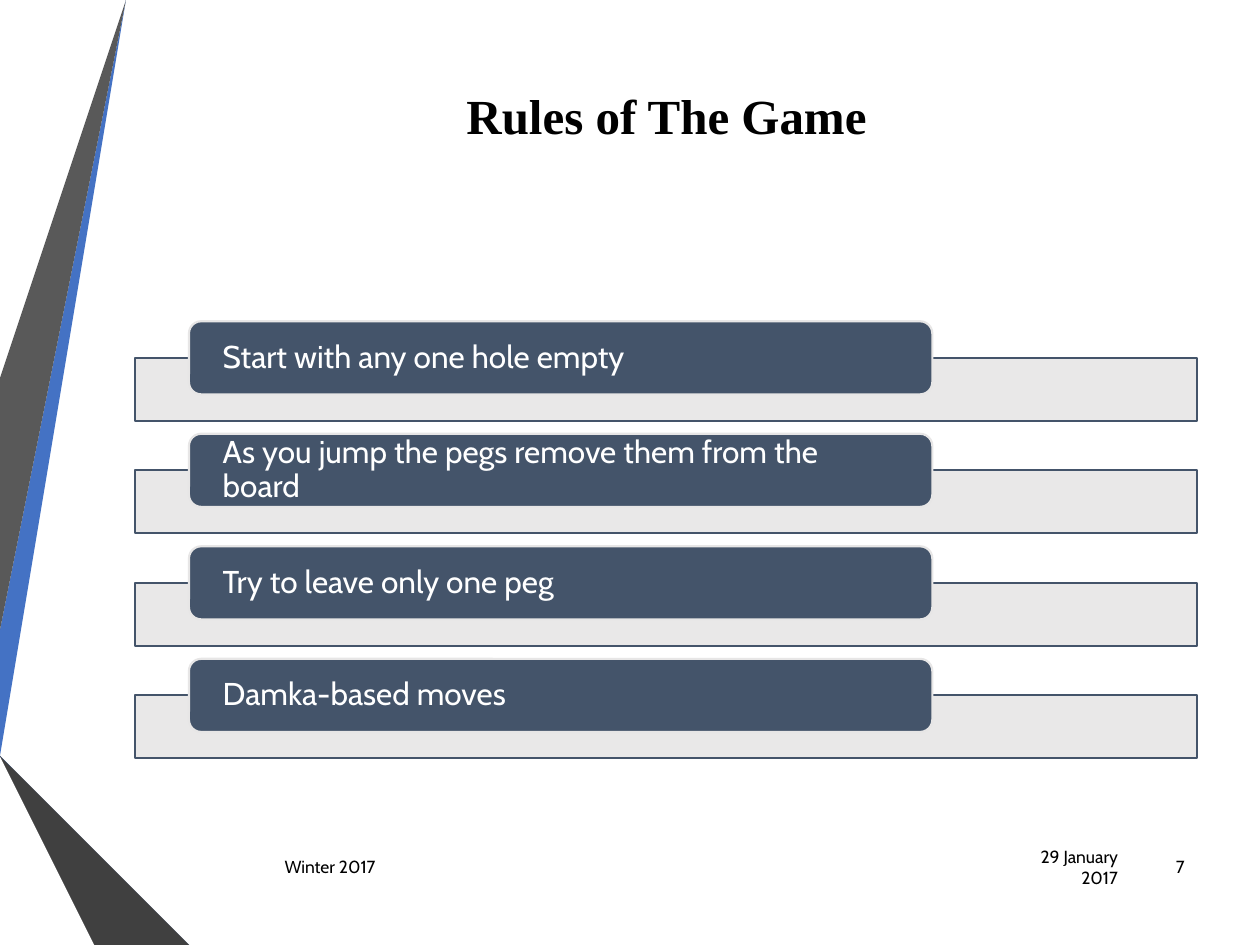
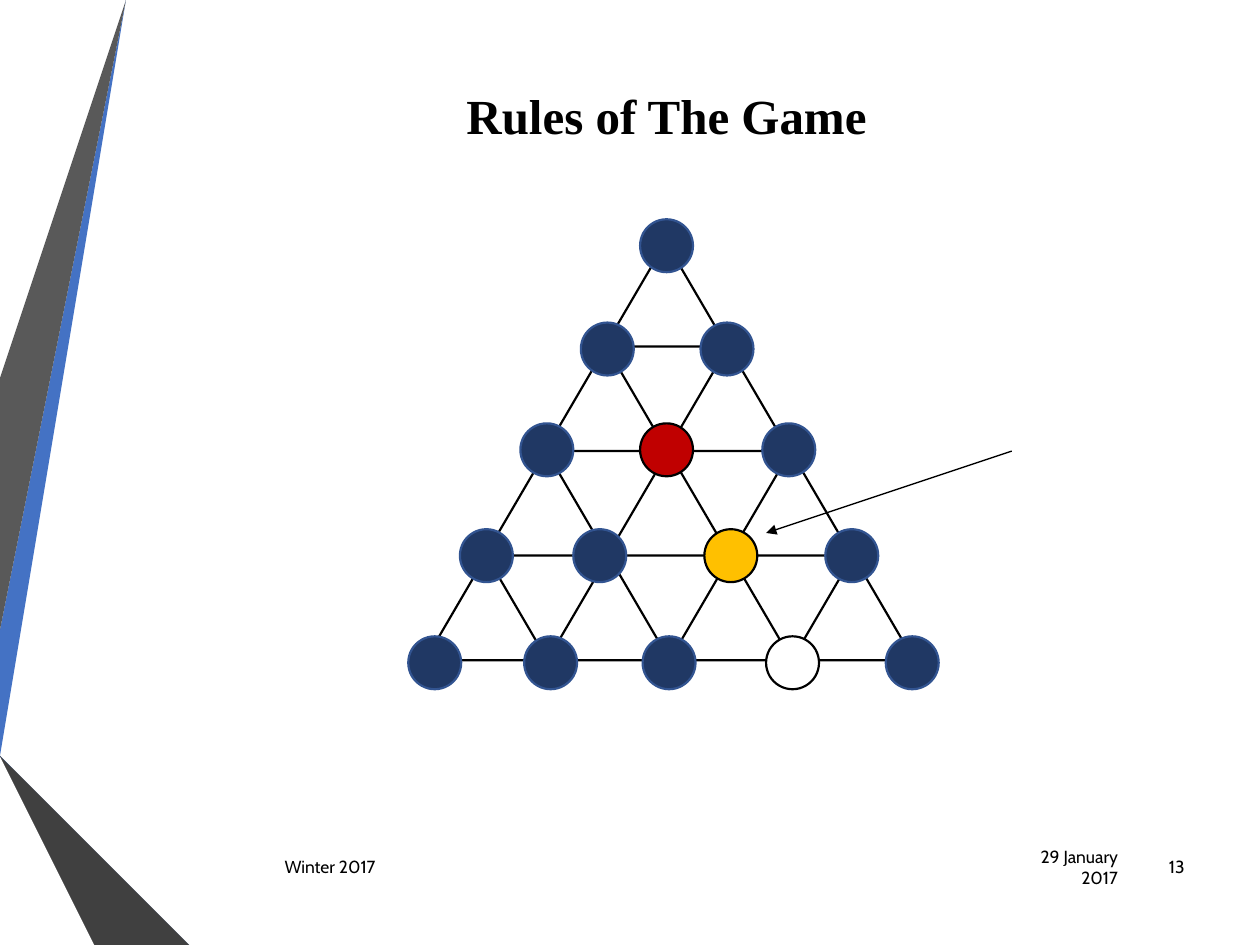
import pptx
import pptx.util
import pptx.dml.color
import pptx.enum.shapes
import pptx.enum.text
import pptx.oxml
import pptx.oxml.ns
import lxml.etree

Inches = pptx.util.Inches
Pt = pptx.util.Pt
RGBColor = pptx.dml.color.RGBColor
Shape = pptx.enum.shapes.MSO_SHAPE
Align = pptx.enum.text.PP_ALIGN
Anchor = pptx.enum.text.MSO_ANCHOR
qn = pptx.oxml.ns.qn

# Colours and fonts
BLACK = RGBColor(0x00, 0x00, 0x00)
WHITE = RGBColor(0xFF, 0xFF, 0xFF)
BLUE = RGBColor(0x44, 0x72, 0xC4)
MID_BLUE = RGBColor(0x2F, 0x55, 0x97)
NAVY = RGBColor(0x20, 0x38, 0x64)
PEG_EDGE = RGBColor(0x32, 0x54, 0x91)
GREY = RGBColor(0x59, 0x59, 0x59)
DARK_GREY = RGBColor(0x40, 0x40, 0x40)
CHARCOAL = RGBColor(0x26, 0x26, 0x26)
SLATE = RGBColor(0x44, 0x54, 0x6A)
PALE = RGBColor(0xE7, 0xE6, 0xE6)
RED = RGBColor(0xC0, 0x00, 0x00)
GOLD = RGBColor(0xFF, 0xC0, 0x00)
TITLE_FONT = "Times New Roman"
BODY_FONT = "Cabin"

# Shared content
TITLE = "Rules of The Game"
TERM = "Winter 2017"
DATE = "29 January 2017"
BANDS = [
    (BLUE, [(0, 5.44), (0, 5.75), (0.22, 5.79), (1.17, 0), (0.89, 0)]),
    (GREY, [(0.83, 0), (0.55, 0), (0, 3.36), (0, 5.06)]),
    (CHARCOAL, [(0, 6.19), (0, 6.21), (0.93, 7.5), (0.99, 7.5)]),
    (NAVY, [(0, 5.79), (0, 5.8), (1.56, 7.5), (1.63, 7.5)]),
    (MID_BLUE, [(0, 5.79), (1.63, 7.5), (2.33, 7.5), (0.22, 5.79), (0, 5.75)]),
    (DARK_GREY, [(0, 6.19), (0.99, 7.5), (1.51, 7.5), (0, 5.86)]),
]

# Slide content
RULES = [
    "Start with any one hole empty",
    "As you jump the pegs remove them from the board",
    "Try to leave only one peg",
    "Damka-based moves",
]
RULE_TOP, RULE_PITCH = 2.55, 0.893

PEG_SIZE = 0.42
PEG_ROWS = [  # top of the row, left edge of each peg
    (1.74, [5.08]),
    (2.56, [4.61, 5.56]),
    (3.36, [4.13, 5.08, 6.05]),
    (4.2, [3.65, 4.55, 5.59, 6.55]),
    (5.05, [3.24, 4.16, 5.1, 6.08, 7.03]),
]
SPECIAL_HOLES = {(2, 1): RED, (3, 2): GOLD, (4, 3): WHITE}  # (row, column)
APEX_LEFT, APEX_TOP = 4.8, 1.92
CELL_WIDTH, CELL_HEIGHT, ROW_SHIFT = 0.97, 0.83, 0.475
ARROW_START, ARROW_END = (8.03, 3.58), (6.08, 4.23)


def add_box(slide, kind, box, fill, edge):
    shape = slide.shapes.add_shape(kind, *map(Inches, box))
    shape.shadow.inherit = False
    shape.fill.solid()
    shape.fill.fore_color.rgb = fill
    shape.line.color.rgb = edge
    shape.line.width = Pt(1.25)
    return shape


def write(shape, text, size, color, font=BODY_FONT, align=Align.LEFT, bold=False):
    frame = shape.text_frame
    frame.word_wrap = True
    frame.vertical_anchor = Anchor.MIDDLE
    paragraph = frame.paragraphs[0]
    paragraph.text = text
    paragraph.alignment = align
    paragraph.font.size = Pt(size)
    paragraph.font.name = font
    paragraph.font.bold = bold
    paragraph.font.color.rgb = color
    return paragraph


def add_label(slide, box, text, size=10, **style):
    write(slide.shapes.add_textbox(*map(Inches, box)), text, size, BLACK, **style)


def add_base_slide(presentation, number):
    slide = presentation.slides.add_slide(presentation.slide_layouts[6])
    for color, points in BANDS:
        builder = slide.shapes.build_freeform(*points[0], scale=Inches(1))
        builder.add_line_segments(points[1:], close=True)
        band = builder.convert_to_shape()
        band.shadow.inherit = False
        band.fill.solid()
        band.fill.fore_color.rgb = color
        band.line.fill.background()
    add_label(slide, (8.03, 6.68, 0.94, 0.4), DATE, align=Align.RIGHT)
    add_label(slide, (2.16, 6.68, 5.81, 0.4), TERM)
    add_label(slide, (9.03, 6.68, 0.47, 0.4), str(number), align=Align.RIGHT)
    return slide


def add_title(slide):
    add_label(slide, (2.86, 0.5, 4.86, 0.83), TITLE, size=28,
              font=TITLE_FONT, align=Align.CENTER, bold=True)


def add_rules(slide):
    for index, rule in enumerate(RULES):
        top = RULE_TOP + index * RULE_PITCH
        bar = add_box(slide, Shape.RECTANGLE, (1.07, top + 0.29, 8.43, 0.5), PALE, SLATE)
        color = bar.fill._xPr.find(qn("a:solidFill"))[0]
        lxml.etree.SubElement(color, qn("a:alpha"), val="90000")
        tab = add_box(slide, Shape.ROUNDED_RECTANGLE, (1.5, top, 5.9, 0.58), SLATE, PALE)
        frame = tab.text_frame
        frame.margin_left = frame.margin_right = Inches(0.24)
        frame.margin_top = frame.margin_bottom = 0
        write(tab, rule, 18, WHITE).line_spacing = 0.9


def add_board(slide):
    # Lines of the board: one triangle for each cell
    for row in range(4):
        for column in range(row + 1):
            left = APEX_LEFT - row * ROW_SHIFT + column * CELL_WIDTH
            top = APEX_TOP + row * CELL_HEIGHT
            add_box(slide, Shape.ISOSCELES_TRIANGLE,
                    (left, top, CELL_WIDTH, CELL_HEIGHT), WHITE, BLACK)
    # Pegs and the empty hole
    for row, (top, lefts) in enumerate(PEG_ROWS):
        for column, left in enumerate(lefts):
            special = SPECIAL_HOLES.get((row, column))
            add_box(slide, Shape.OVAL, (left, top, PEG_SIZE, PEG_SIZE),
                    special or NAVY, BLACK if special else PEG_EDGE)
    # Arrow to the jumped peg
    arrow = slide.shapes.add_connector(
        pptx.enum.shapes.MSO_CONNECTOR.STRAIGHT, *map(Inches, ARROW_START + ARROW_END))
    arrow.line.color.rgb = BLACK
    arrow.line.width = Pt(0.75)
    lxml.etree.SubElement(arrow.line._get_or_add_ln(), qn("a:tailEnd"), type="triangle")
    lxml.etree.SubElement(arrow._element.spPr, qn("a:effectLst"))


presentation = pptx.Presentation()
presentation.slide_width = Inches(10)
presentation.slide_height = Inches(7.5)
for number, add_content in [(7, add_rules), (13, add_board)]:
    slide = add_base_slide(presentation, number)
    add_title(slide)
    add_content(slide)
presentation.save("out.pptx")
